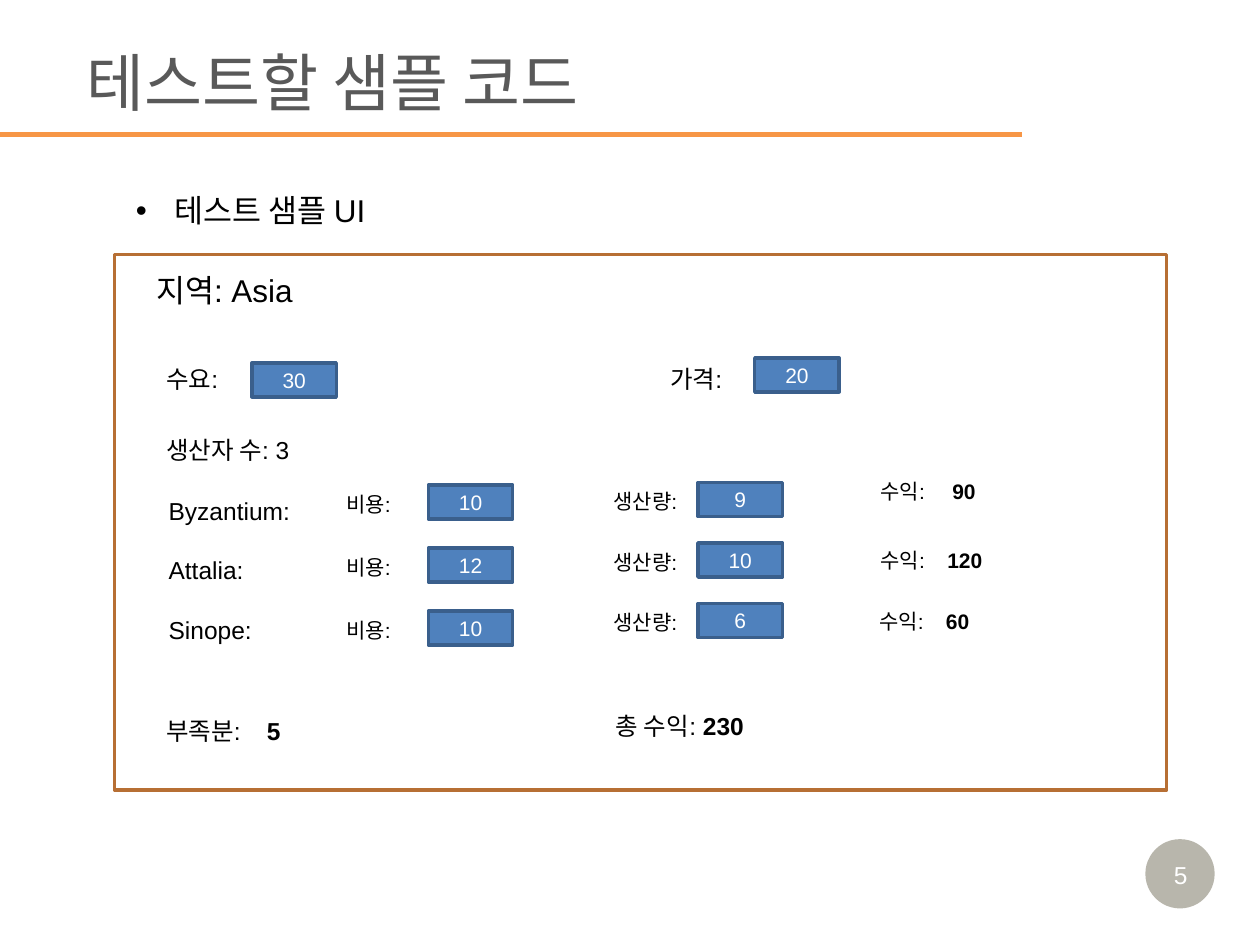
from dataclasses import dataclass

from lxml import etree
from pptx import Presentation
from pptx.dml.color import RGBColor
from pptx.enum.shapes import MSO_CONNECTOR, MSO_SHAPE
from pptx.enum.text import MSO_ANCHOR, MSO_AUTO_SIZE, PP_ALIGN
from pptx.oxml.ns import qn
from pptx.util import Inches, Pt

RECTANGLE, OVAL = MSO_SHAPE.RECTANGLE, MSO_SHAPE.OVAL
STRAIGHT = MSO_CONNECTOR.STRAIGHT
MIDDLE, TOP = MSO_ANCHOR.MIDDLE, MSO_ANCHOR.TOP
LEFT, CENTER = PP_ALIGN.LEFT, PP_ALIGN.CENTER
GROW, FIXED = MSO_AUTO_SIZE.SHAPE_TO_FIT_TEXT, MSO_AUTO_SIZE.NONE


@dataclass(frozen=True)
class Theme:
    latin: str = "Arial"
    korean: str = "Noto Sans CJK KR"
    ink: str = "000000"
    white: str = "FFFFFF"
    heading: str = "595959"
    accent: str = "F79646"
    frame: str = "B76F34"
    field: str = "4F81BD"
    field_edge: str = "3A5F8C"
    badge: str = "4A452A"
    title: int = 36
    large: int = 18
    medium: int = 14
    small: int = 12


def apply(target, values):
    for name, value in values.items():
        setattr(target, name, value)


class SlideBuilder:
    def __init__(self, page, theme):
        self.page = page
        self.theme = theme

    def fill_text(self, box, text, size, color=None, bold_text="", align=LEFT,
                  anchor=TOP, wrap=True, fit=GROW, latin=None):
        frame = box.text_frame
        apply(frame, {"word_wrap": wrap, "auto_size": fit, "vertical_anchor": anchor})
        para = frame.paragraphs[0]
        para.alignment = align
        for content, bold in ((text, False), (bold_text, True)):
            if not content:
                continue
            span = para.add_run()
            span.text = content
            apply(span.font, {"size": Pt(size), "bold": bold,
                              "name": latin or self.theme.latin})
            span.font.color.rgb = RGBColor.from_string(color or self.theme.ink)
            properties = span._r.get_or_add_rPr()
            etree.SubElement(properties, qn("a:ea"), typeface=self.theme.korean)
        return para

    def text(self, left, top, width, height, text, size, **options):
        box = self.page.shapes.add_textbox(
            Inches(left), Inches(top), Inches(width), Inches(height))
        return self.fill_text(box, text, size, **options)

    def tabbed(self, left, top, width, height, label, value, size, stop):
        para = self.text(left, top, width, height, label + "\t", size, bold_text=value)
        tabs = etree.SubElement(para._p.get_or_add_pPr(), qn("a:tabLst"))
        etree.SubElement(tabs, qn("a:tab"), pos=str(Inches(stop)), algn="l")

    def bullet(self, left, top, width, height, text, size, indent):
        para = self.text(left, top, width, height, text, size)
        properties = para._p.get_or_add_pPr()
        properties.set("marL", str(Inches(indent)))
        properties.set("indent", str(-Inches(indent)))
        etree.SubElement(properties, qn("a:buFont"), typeface=self.theme.latin)
        etree.SubElement(properties, qn("a:buChar"), char="•")

    def shape(self, kind, left, top, width, height, fill=None, line=None, opacity=None):
        box = self.page.shapes.add_shape(
            kind, Inches(left), Inches(top), Inches(width), Inches(height))
        box.shadow.inherit = False
        if fill:
            box.fill.solid()
            box.fill.fore_color.rgb = RGBColor.from_string(fill)
        else:
            box.fill.background()
        if line:
            box.line.color.rgb = RGBColor.from_string(line)
            box.line.width = Pt(2)
        else:
            box.line.fill.background()
        if opacity:
            color = box._element.spPr.find(qn("a:solidFill")).find(qn("a:srgbClr"))
            etree.SubElement(color, qn("a:alpha"), val=str(opacity * 1000))
        return box

    def field(self, left, top, value):
        box = self.shape(RECTANGLE, left, top, 0.67, 0.27,
                         self.theme.field, self.theme.field_edge)
        self.fill_text(box, value, self.theme.small, color=self.theme.white,
                       align=CENTER, anchor=MIDDLE, fit=FIXED)

    def rule(self, left, right, top, color, width):
        line = self.page.shapes.add_connector(
            STRAIGHT, Inches(left), Inches(top), Inches(right), Inches(top))
        line.line.color.rgb = RGBColor.from_string(color)
        line.line.width = Pt(width)
        etree.SubElement(line._element.spPr, qn("a:effectLst"))


def main():
    deck = Presentation()
    apply(deck, {"slide_width": Inches(10), "slide_height": Inches(7.5)})
    theme = Theme()
    slide = SlideBuilder(deck.slides.add_slide(deck.slide_layouts[6]), theme)

    slide.shape(OVAL, 9.09, 6.66, 0.55, 0.55, fill=theme.badge, opacity=39)
    slide.text(9.15, 6.78, 0.44, 0.34, "5", theme.medium,
               color=theme.white, align=CENTER, wrap=False)
    slide.text(0.59, 0.29, 9.41, 0.71, "테스트할 샘플 코드", theme.title,
               color=theme.heading, anchor=MIDDLE, fit=FIXED, latin=theme.korean)
    slide.rule(0, 8.11, 1.07, theme.accent, 3)
    slide.bullet(0.98, 1.47, 2.76, 0.4, "테스트 샘플 UI", theme.large, 0.31)

    slide.shape(RECTANGLE, 0.91, 2.02, 8.35, 4.25, line=theme.frame)
    slide.text(1.14, 2.1, 1.65, 0.4, "지역: Asia", theme.large)

    market = [("수요:", 1.22, "30", 2, 2.88), ("가격:", 5.22, "20", 5.99, 2.84)]
    for label, label_left, value, field_left, field_top in market:
        slide.text(label_left, 2.84, 0.79, 0.34, label, theme.medium)
        slide.field(field_left, field_top, value)

    slide.text(1.22, 3.4, 1.26, 0.34, "생산자 수: 3", theme.medium)
    producers = [
        ("Byzantium:", "10", "9", "90", 6.89, 3.75, 0.57),
        ("Attalia:", "12", "10", "120", 6.89, 4.3, 0.53),
        ("Sinope:", "10", "6", "60", 6.88, 4.78, 0.53),
    ]
    for row, producer in enumerate(producers):
        name, cost, output, profit, profit_left, profit_top, stop = producer
        cost_top = 3.85 + row * 0.5
        output_top = 3.83 + row * 0.48
        slide.text(1.24, 3.89 + row * 0.47, 1.26, 0.34, name, theme.medium)
        slide.text(2.65, cost_top, 0.79, 0.3, "비용:", theme.small)
        slide.field(3.4, cost_top, cost)
        slide.text(4.77, output_top, 0.79, 0.3, "생산량:", theme.small)
        slide.field(5.54, output_top, output)
        slide.tabbed(profit_left, profit_top, 1.2, 0.3, "수익:", profit,
                     theme.small, stop)

    slide.tabbed(1.22, 5.63, 1.28, 0.34, "부족분:", "5", theme.medium, 0.8)
    slide.text(4.79, 5.59, 1.28, 0.34, "총 수익: ", theme.medium, bold_text="230")

    deck.save("out.pptx")


if __name__ == "__main__":
    main()
